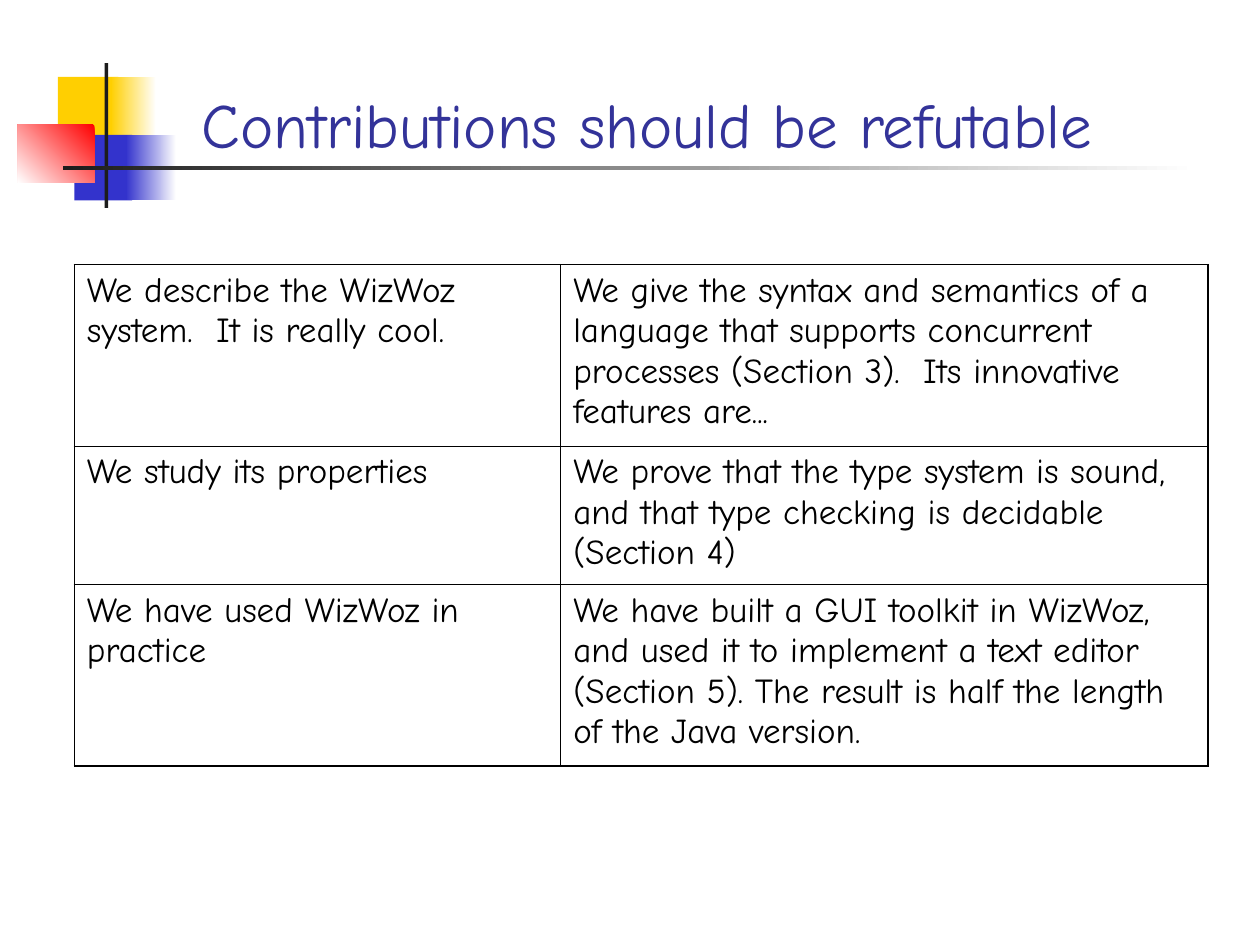
import pptx
import pptx.dml.color
import pptx.enum.shapes
import pptx.enum.text
import pptx.oxml.ns
import pptx.util
from lxml import etree

RGBColor = pptx.dml.color.RGBColor
YELLOW = RGBColor(0xFF, 0xCF, 0x01)
BLUE = RGBColor(0x33, 0x33, 0xCC)
RED = RGBColor(0xFF, 0x00, 0x00)
WHITE = RGBColor(0xFF, 0xFF, 0xFF)
CHARCOAL = RGBColor(0x1C, 0x1C, 0x1C)
BLACK = RGBColor(0x00, 0x00, 0x00)
TITLE_BLUE = RGBColor(0x33, 0x33, 0x99)
FONT = "Comic Neue"
OUTER, INNER = 1.08, 0.45  # table rule widths in points

presentation = pptx.Presentation()
presentation.slide_width = pptx.util.Inches(10)
presentation.slide_height = pptx.util.Inches(7.5)
slide = presentation.slides.add_slide(presentation.slide_layouts[6])

# Grid of 100 columns by 75 rows
COLUMN = presentation.slide_width // 100
ROW = presentation.slide_height // 75


def write_text(frame, text, size, color, anchor):
    frame.word_wrap = True
    frame.vertical_anchor = anchor
    paragraph = frame.paragraphs[0]
    paragraph.text = text
    font = paragraph.runs[0].font
    font.name, font.size, font.color.rgb = FONT, pptx.util.Pt(size), color


def set_border(cell, side, width):
    properties = cell._tc.get_or_add_tcPr()
    line = etree.SubElement(properties, pptx.oxml.ns.qn(f"a:{side}"),
                            w=str(pptx.util.Pt(width)))
    fill = etree.SubElement(line, pptx.oxml.ns.qn("a:solidFill"))
    etree.SubElement(fill, pptx.oxml.ns.qn("a:srgbClr"), val=str(BLACK))


# Overlapping squares and crossed bars:
# left, top, width, height, first colour, last colour, gradient angle
ornaments = [
    (4.6, 6.1, 4.8, 5.2, YELLOW, None, 0),
    (8.8, 6.1, 3.6, 5.2, WHITE, YELLOW, 180),
    (5.9, 10.7, 4.6, 5.2, BLUE, None, 0),
    (10, 10.7, 4, 5.2, WHITE, BLUE, 180),
    (1.4, 9.9, 6.1, 4.6, RED, WHITE, 225),
    (8.3, 5, 0.3, 11.5, CHARCOAL, None, 0),
    (5, 13.2, 90, 0.3, WHITE, CHARCOAL, 180),
]
for left, top, width, height, first, last, angle in ornaments:
    shape = slide.shapes.add_shape(
        pptx.enum.shapes.MSO_SHAPE.RECTANGLE, int(left * COLUMN), int(top * ROW),
        int(width * COLUMN), int(height * ROW))
    shape.shadow.inherit = False
    shape.line.fill.background()
    if last is None:
        shape.fill.solid()
        shape.fill.fore_color.rgb = first
    else:
        shape.fill.gradient()
        shape.fill.gradient_angle = angle
        for stop, color in zip(shape.fill.gradient_stops, (first, last)):
            stop.color.rgb = color

# Title
title = slide.shapes.add_textbox(15 * COLUMN, int(0.8 * ROW),
                                 int(85.2 * COLUMN), int(12.5 * ROW))
write_text(title.text_frame, "Contributions should be refutable", size=36,
           color=TITLE_BLUE, anchor=pptx.enum.text.MSO_ANCHOR.BOTTOM)

# Table: vague claims on the left, refutable ones on the right
claims = [
    ("We describe the WizWoz system.  It is really cool.",
     "We give the syntax and semantics of a language that supports concurrent "
     "processes (Section 3).  Its innovative features are..."),
    ("We study its properties",
     "We prove that the type system is sound, and that type checking is "
     "decidable (Section 4)"),
    ("We have used WizWoz in practice",
     "We have built a GUI toolkit in WizWoz, and used it to implement a text "
     "editor (Section 5). The result is half the length of the Java version."),
]
column_widths = [38.6, 51.4]
row_heights = [14.4, 11, 14.4]
table = slide.shapes.add_table(
    len(row_heights), len(column_widths), int(5.9 * COLUMN), 21 * ROW,
    int(sum(column_widths) * COLUMN), int(sum(row_heights) * ROW)).table
table.first_row = table.horz_banding = False
for column, width in zip(table.columns, column_widths):
    column.width = int(width * COLUMN)
for row, height in zip(table.rows, row_heights):
    row.height = int(height * ROW)

last_row, last_column = len(row_heights) - 1, len(column_widths) - 1
for r, pair in enumerate(claims):
    for c, claim in enumerate(pair):
        cell = table.cell(r, c)
        write_text(cell.text_frame, claim, size=20, color=BLACK, anchor=None)
        cell.vertical_anchor = pptx.enum.text.MSO_ANCHOR.TOP
        on_edge = {"lnL": c == 0, "lnR": c == last_column,
                   "lnT": r == 0, "lnB": r == last_row}
        for side, outer in on_edge.items():
            set_border(cell, side, OUTER if outer else INNER)
        cell.fill.background()

presentation.save("out.pptx")
